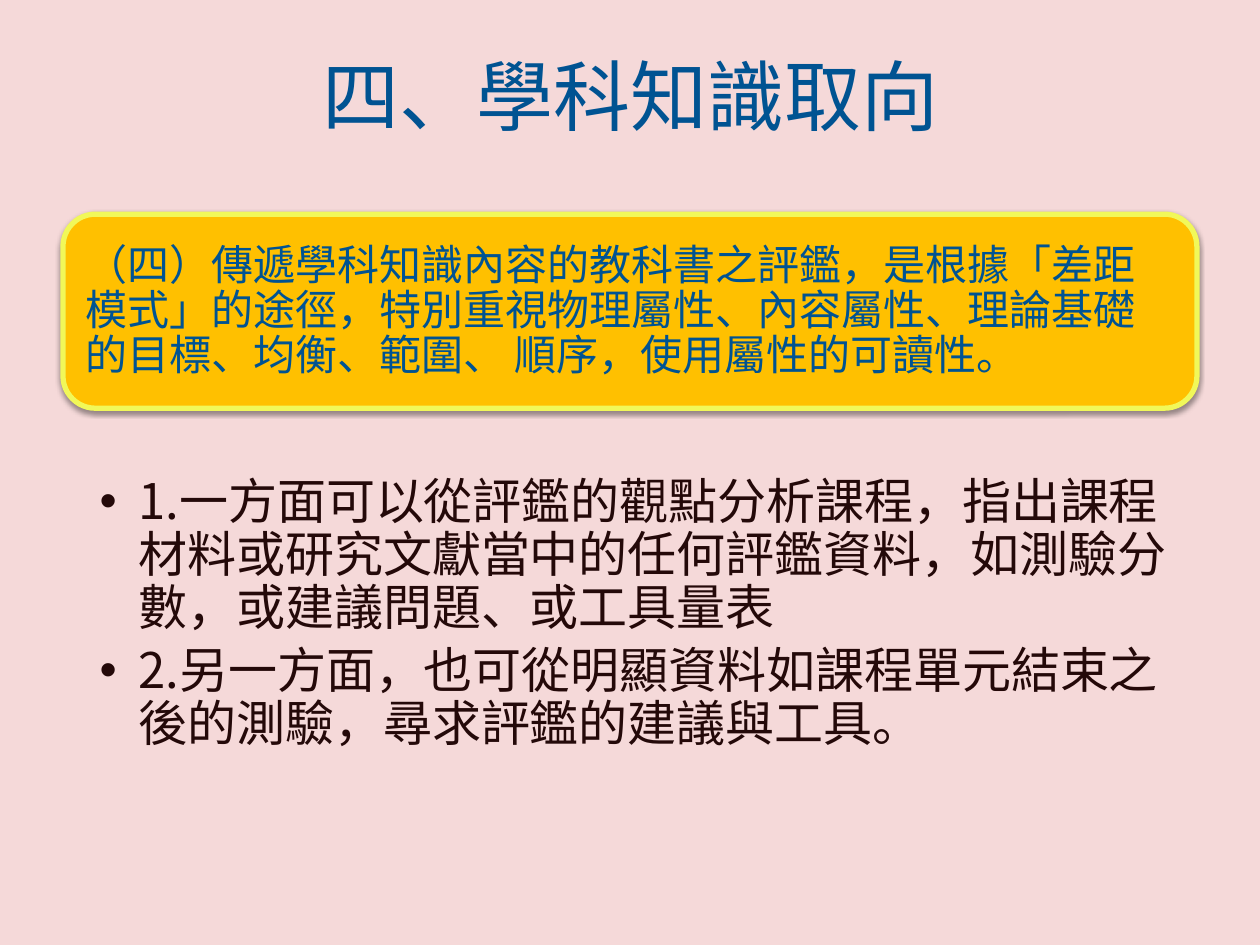
"""Builds a slide on the subject knowledge approach to textbook evaluation."""
from lxml.etree import SubElement as Sub
from pptx import Presentation
from pptx.dml.color import RGBColor as Rgb
from pptx.enum.shapes import MSO_SHAPE as Shape
from pptx.enum.text import MSO_ANCHOR as Anchor, PP_ALIGN as Align
from pptx.oxml.ns import qn
from pptx.util import Inches, Pt

FONT = "Noto Sans CJK SC"
COLORS = {
    "back": "F5D9D9",
    "blue": "005392",
    "dark": "240909",
    "gold": "FFC000",
    "lime": "F1F859",
    "black": "000000",
}
TITLE = "四、學科知識取向"
CLAIM = (
    "（四）傳遞學科知識內容的教科書之評鑑，是根據「差距模式」的途徑，"
    "特別重視物理屬性、內容屬性、理論基礎的目標、均衡、範圍、 順序，"
    "使用屬性的可讀性。"
)
POINTS = [
    "1.一方面可以從評鑑的觀點分析課程，指出課程材料或研究文獻當中的任何評鑑資料，"
    "如測驗分數，或建議問題、或工具量表",
    "2.另一方面，也可從明顯資料如課程單元結束之後的測驗，尋求評鑑的建議與工具。",
]


def color(name):
    return Rgb.from_string(COLORS[name])


def add_text(slide, box, lines, size, ink, pads, anchor=Anchor.TOP):
    frame = slide.shapes.add_textbox(*map(Inches, box)).text_frame
    frame.word_wrap = True
    frame.vertical_anchor = anchor
    frame.margin_left, frame.margin_top, frame.margin_right, frame.margin_bottom = map(Inches, pads)
    frame.text = "\n".join(lines)
    for para in frame.paragraphs:
        for run in para.runs:
            run.font.size = Pt(size)
            run.font.name = FONT
            run.font.color.rgb = color(ink)
            Sub(run.font._element, qn("a:ea"), typeface=FONT)
    return frame.paragraphs


def add_bullet(para, indent):
    props = para._p.get_or_add_pPr()
    props.set("marL", str(Inches(indent)))
    props.set("indent", str(-Inches(indent)))
    Sub(props, qn("a:buFont"), typeface="Arial")
    Sub(props, qn("a:buChar"), char="•")


def add_shadow(shape, blur, dist, angle, alpha):
    shape.shadow.inherit = False
    effects = shape._element.spPr.find(qn("a:effectLst"))
    outer = Sub(effects, qn("a:outerShdw"), blurRad=str(Pt(blur)), dist=str(Pt(dist)),
                dir=str(angle * 60000), rotWithShape="0")
    tint = Sub(outer, qn("a:srgbClr"), val=COLORS["black"])
    Sub(tint, qn("a:alpha"), val=str(alpha * 1000))


def add_panel(slide, box):
    panel = slide.shapes.add_shape(Shape.ROUNDED_RECTANGLE, *map(Inches, box))
    panel.fill.solid()
    panel.fill.fore_color.rgb = color("gold")
    panel.line.color.rgb = color("lime")
    panel.line.width = Pt(3)
    add_shadow(panel, 3.1, 1.6, 90, 38)


def main():
    deck = Presentation()
    deck.slide_width, deck.slide_height = Inches(10), Inches(7.5)
    slide = deck.slides.add_slide(deck.slide_layouts[6])
    slide.background.fill.solid()
    slide.background.fill.fore_color.rgb = color("back")

    title = add_text(slide, (0.51, 0.13, 9, 1.25), [TITLE], 44, "blue",
                     (0.1, 0.05, 0.1, 0.05), Anchor.MIDDLE)
    title[0].alignment = Align.CENTER

    add_panel(slide, (0.5, 1.7, 9, 1.54))
    claim = add_text(slide, (0.58, 1.78, 8.85, 1.39), [CLAIM], 24, "blue",
                     (0.1, 0.1, 0.1, 0.1), Anchor.MIDDLE)
    claim[0].line_spacing = 0.9
    claim[0].space_after = Pt(8.4)

    points = add_text(slide, (0.5, 3.75, 9, 3.22), POINTS, 28, "dark",
                      (0.29, 0.04, 0.22, 0.04))
    for para in points:
        para.level = 1
        para.line_spacing = 0.9
        para.space_after = Pt(5.6)
        add_bullet(para, 0.31)

    deck.save("out.pptx")


if __name__ == "__main__":
    main()
